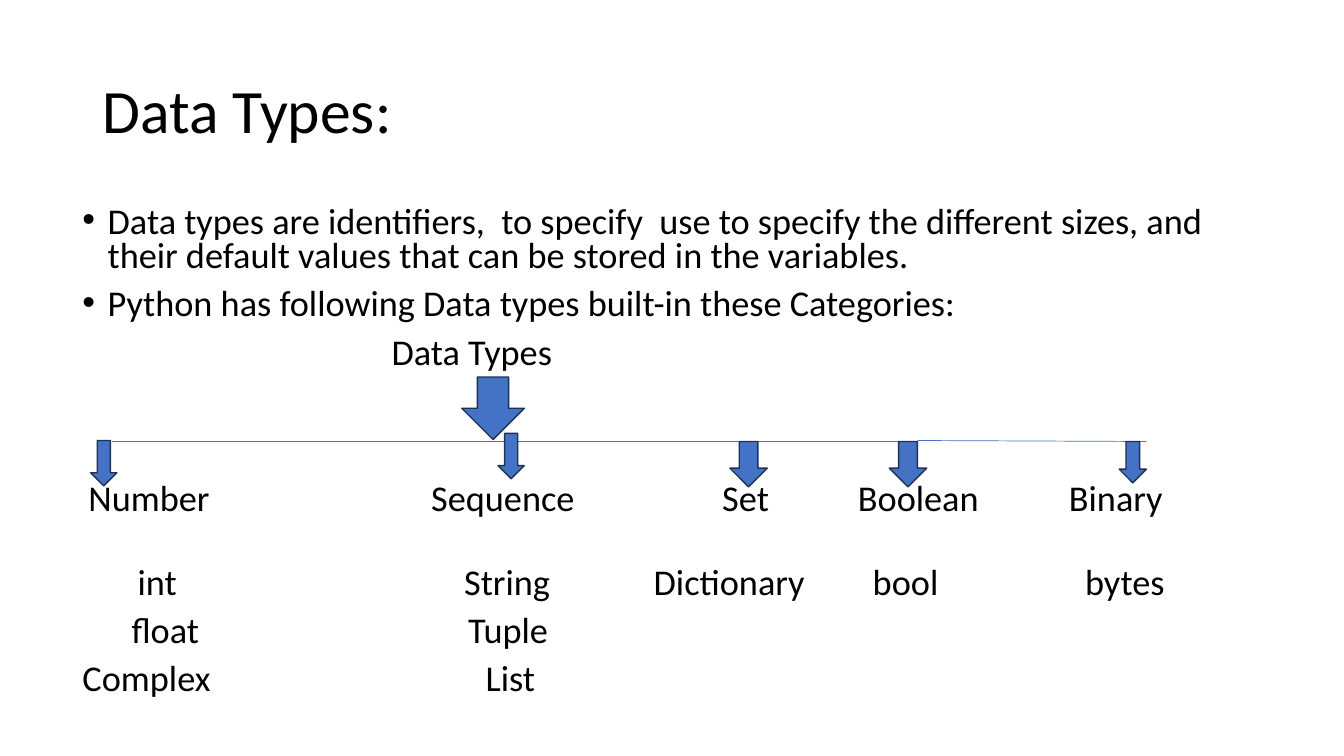
import lxml.etree
import pptx
import pptx.dml.color
import pptx.enum.shapes
import pptx.enum.text
import pptx.oxml.ns
import pptx.util

COLOURS = {"text": "000000", "accent": "4472C4", "outline": "1E3256"}
FONT = "Calibri"
SLIDE_WIDTH = pptx.util.Inches(13.33)
SLIDE_HEIGHT = pptx.util.Inches(7.5)
BODY_SIZE = 25.9
LINE_SPACING = 0.79
LINE_HEIGHT = 25
GAP = 10

BULLETS = [
    "Data types are identifiers,  to specify  use to specify the different sizes, "
    "and their default values that can be stored in the variables.",
    "Python has following Data types built-in these Categories:",
]
# Space before in points, then each word with its column inside the body.
TREE_ROWS = [
    (GAP, [("Data Types", 23)]),
    (GAP + 2 * (LINE_HEIGHT + GAP),
     [("Number", 0.45), ("Sequence", 25.95), ("Set", 47.6), ("Boolean", 57.7), ("Binary", 73.4)]),
    (GAP + LINE_HEIGHT,
     [("int", 4.1), ("String", 28.4), ("Dictionary", 42.5), ("bool", 58.8), ("bytes", 74.6)]),
    (GAP, [("float", 3.65), ("Tuple", 28.7)]),
    (GAP, [("Complex", 0), ("List", 30)]),
]
# Column, row, width in columns, height in rows.
ROOT_ARROW = (34.36, 49.87, 4.65, 8.27)
BRANCH_ARROWS = {
    "Number": (6.75, 58.27, 1.95, 6),
    "Sequence": (37.06, 57.33, 1.95, 6),
    "Set": (54.31, 58.4, 2.78, 6),
    "Boolean": (66.17, 58.4, 2.78, 6),
    "Binary": (83.27, 58.4, 2.03, 5.47),
}


def columns(count):
    """Length of count columns, 100 to the slide's width."""
    return round(SLIDE_WIDTH * count / 100)


def rows(count):
    """Length of count rows, 100 to the slide's height."""
    return round(SLIDE_HEIGHT * count / 100)


def box(column, row, width, height):
    return columns(column), rows(row), columns(width), rows(height)


def colour(name):
    return pptx.dml.color.RGBColor.from_string(COLOURS[name])


def add_element(parent, tag, **attributes):
    return lxml.etree.SubElement(parent, pptx.oxml.ns.qn(tag), attributes)


def add_text_frame(slide, place, anchor):
    text_frame = slide.shapes.add_textbox(*box(*place)).text_frame
    text_frame.word_wrap = True
    text_frame.vertical_anchor = anchor
    return text_frame


def fill_paragraph(paragraph, text, size, line_spacing, space_before=0):
    paragraph.text = text
    paragraph.line_spacing = line_spacing
    paragraph.space_before = pptx.util.Pt(space_before)
    for run in paragraph.runs:
        run.font.name = FONT
        run.font.size = pptx.util.Pt(size)
        run.font.color.rgb = colour("text")


def add_title(slide):
    text_frame = add_text_frame(slide, (6.9, 5.33, 86.25, 19.33), pptx.enum.text.MSO_ANCHOR.MIDDLE)
    fill_paragraph(text_frame.paragraphs[0], "Data Types:", 44, 0.9)


def add_bullet(paragraph, text):
    fill_paragraph(paragraph, text, BODY_SIZE, LINE_SPACING, GAP)
    properties = paragraph._p.get_or_add_pPr()
    indent = pptx.util.Inches(0.25)
    properties.set("marL", str(indent))
    properties.set("indent", str(-indent))
    add_element(properties, "a:buFont", typeface="Arial")
    add_element(properties, "a:buChar", char="•")


def add_tree_row(paragraph, space_before, words):
    """Write words at their columns, each one after a tab stop."""
    text = "".join("\t" + word if column else word for word, column in words)
    fill_paragraph(paragraph, text, BODY_SIZE, LINE_SPACING, space_before)
    tab_list = add_element(paragraph._p.get_or_add_pPr(), "a:tabLst")
    for _, column in words:
        if column:
            add_element(tab_list, "a:tab", pos=str(columns(column)), algn="l")


def add_body(slide):
    text_frame = add_text_frame(slide, (5.4, 26.67, 87.7, 63.47), pptx.enum.text.MSO_ANCHOR.TOP)
    for index, text in enumerate(BULLETS):
        add_bullet(text_frame.add_paragraph() if index else text_frame.paragraphs[0], text)
    for space_before, words in TREE_ROWS:
        add_tree_row(text_frame.add_paragraph(), space_before, words)


def add_down_arrow(slide, place):
    arrow = slide.shapes.add_shape(pptx.enum.shapes.MSO_SHAPE.DOWN_ARROW, *box(*place))
    arrow.shadow.inherit = False
    arrow.fill.solid()
    arrow.fill.fore_color.rgb = colour("accent")
    arrow.line.color.rgb = colour("outline")
    arrow.line.width = pptx.util.Pt(1)
    return arrow


def add_line(slide, start, end):
    line = slide.shapes.add_connector(
        pptx.enum.shapes.MSO_CONNECTOR.STRAIGHT,
        columns(start[0]), rows(start[1]), columns(end[0]), rows(end[1]))
    line.line.color.rgb = colour("accent")
    line.line.width = pptx.util.Pt(0.5)
    add_element(line._element.spPr, "a:effectLst")
    return line


def add_branches(slide):
    add_down_arrow(slide, ROOT_ARROW)
    main_line = add_line(slide, (8.33, 58.4), (67.59, 58.4))
    add_line(slide, (68.27, 58.27), (85.3, 58.4))
    arrows = {name: add_down_arrow(slide, place) for name, place in BRANCH_ARROWS.items()}
    main_line.end_connect(arrows["Boolean"], 0)


def main():
    presentation = pptx.Presentation()
    presentation.slide_width = SLIDE_WIDTH
    presentation.slide_height = SLIDE_HEIGHT
    slide = presentation.slides.add_slide(presentation.slide_layouts[6])
    add_title(slide)
    add_body(slide)
    add_branches(slide)
    presentation.save("out.pptx")


if __name__ == "__main__":
    main()
